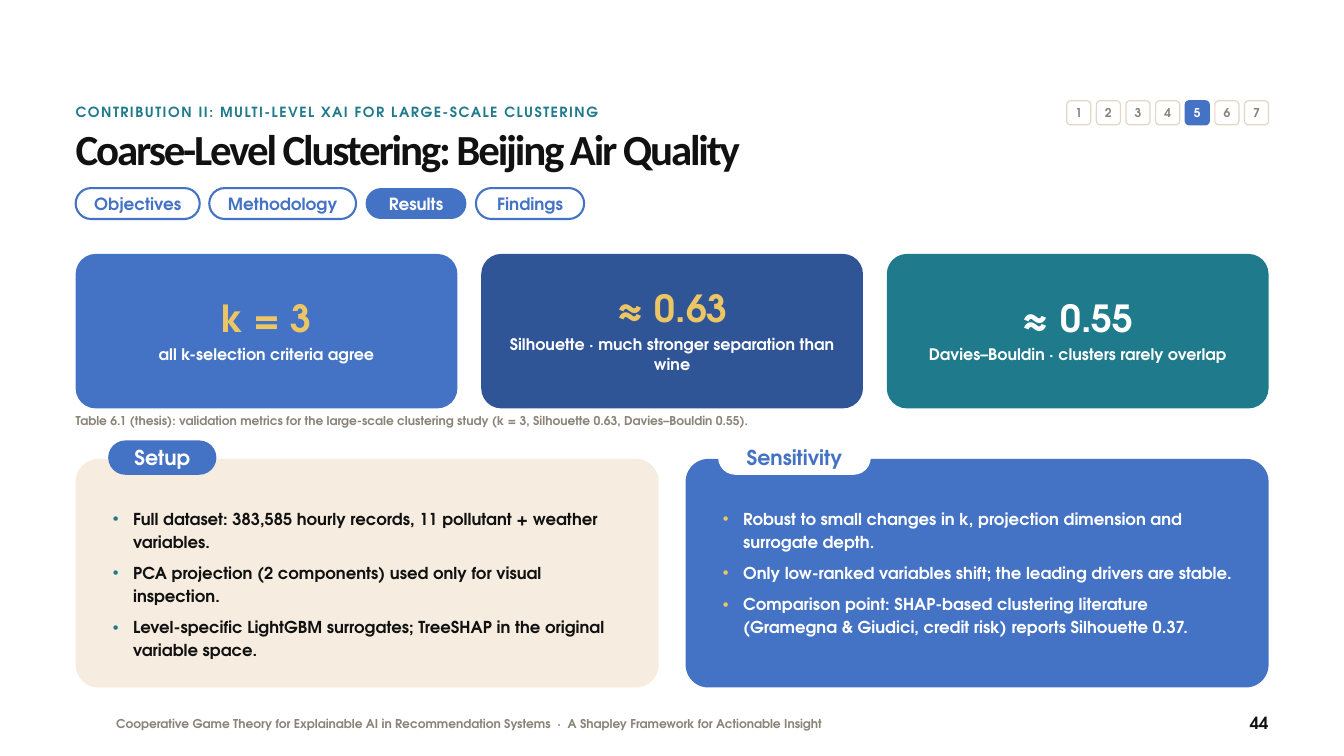
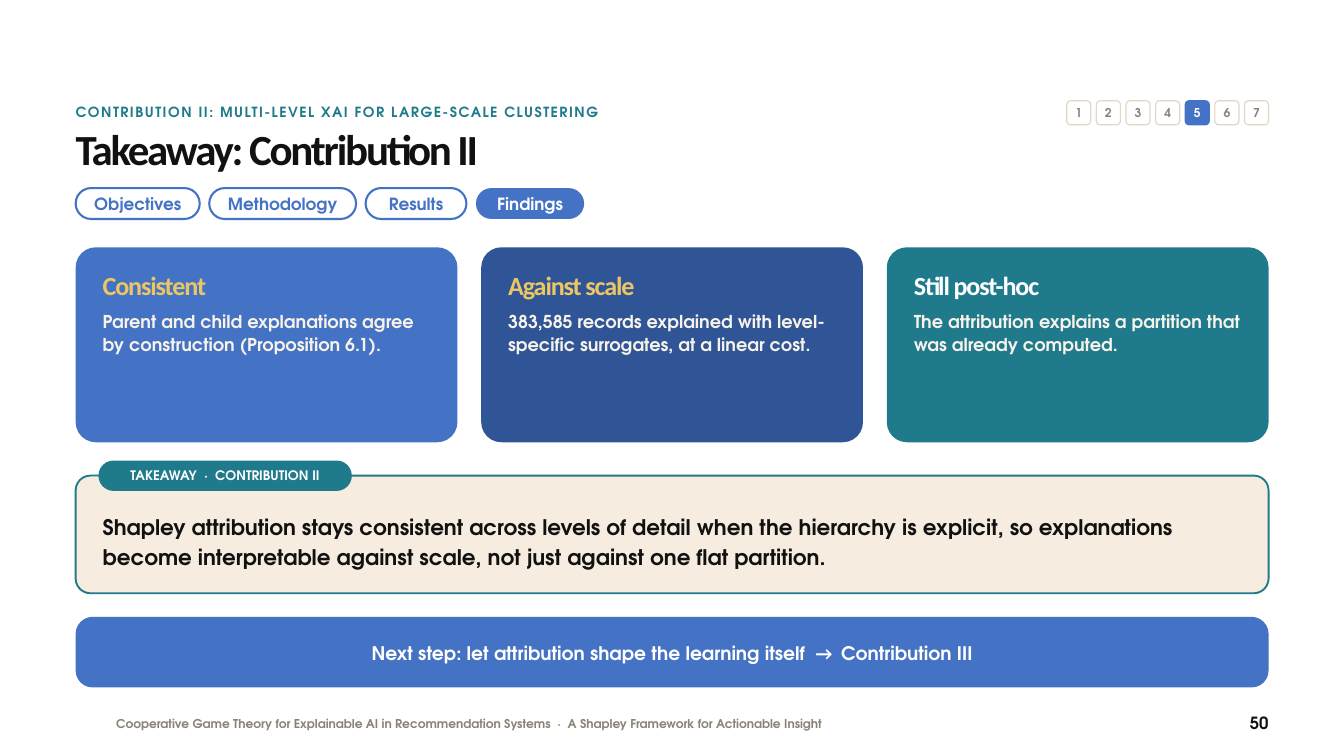
import lxml.etree
import pptx
import pptx.dml.color
import pptx.enum.shapes
import pptx.enum.text
import pptx.oxml.ns
import pptx.util

Cm = pptx.util.Cm
Pt = pptx.util.Pt
RGBColor = pptx.dml.color.RGBColor
ALIGN = pptx.enum.text.PP_ALIGN
ANCHOR = pptx.enum.text.MSO_ANCHOR
qn = pptx.oxml.ns.qn

# Colours and fonts
BLUE = RGBColor(0x44, 0x72, 0xC4)
NAVY = RGBColor(0x2F, 0x55, 0x97)
TEAL = RGBColor(0x1F, 0x7A, 0x8C)
GOLD = RGBColor(0xEC, 0xC6, 0x65)
CREAM = RGBColor(0xF6, 0xEC, 0xDF)
IVORY = RGBColor(0xF7, 0xF2, 0xEA)
SAND = RGBColor(0xE3, 0xD6, 0xC4)
GREY = RGBColor(0x8A, 0x83, 0x78)
INK = RGBColor(0x11, 0x11, 0x11)
WHITE = RGBColor(0xFF, 0xFF, 0xFF)
BODY_FONT = "TeX Gyre Adventor"
TITLE_FONT = "Calibri"

# Page grid, in centimetres
LEFT = 2.86
WIDTH = 45.09
RIGHT = LEFT + WIDTH
CARD_COLOURS = [(BLUE, GOLD), (NAVY, GOLD), (TEAL, WHITE)]

SECTION = "CONTRIBUTION II: MULTI-LEVEL XAI FOR LARGE-SCALE CLUSTERING"
FOOTER = ("Cooperative Game Theory for Explainable AI in Recommendation Systems"
          "  ·  A Shapley Framework for Actionable Insight")
SECTION_COUNT = 7
CURRENT_SECTION = 5
STEPS = [("Objectives", 4.69), ("Methodology", 5.55), ("Results", 3.81), ("Findings", 4.09)]


def columns(count, gap):
    """Return the left edges and the common width of equal columns."""
    width = (WIDTH - gap * (count - 1)) / count
    return [LEFT + i * (width + gap) for i in range(count)], width


def write(frame, text, *, size, colour, leading, font=BODY_FONT, align=ALIGN.LEFT,
          before=0, tracking=None, bullet=None):
    """Add one paragraph; text is a string or a list of (text, font) pairs."""
    paragraph = frame.paragraphs[0]
    if paragraph.runs:
        paragraph = frame.add_paragraph()
    paragraph.alignment = align
    paragraph.line_spacing = Pt(leading)
    paragraph.space_before = Pt(before)
    if bullet is not None:
        properties = paragraph._p.get_or_add_pPr()
        properties.set("marL", str(Cm(0.76)))
        properties.set("indent", str(-Cm(0.76)))
        bullet_colour = lxml.etree.SubElement(properties, qn("a:buClr"))
        lxml.etree.SubElement(bullet_colour, qn("a:srgbClr"), val=str(bullet))
        lxml.etree.SubElement(properties, qn("a:buChar"), char="•")
    for part, part_font in [(text, font)] if isinstance(text, str) else text:
        run = paragraph.add_run()
        run.text = part
        run.font.name = part_font
        run.font.size = Pt(size)
        run.font.bold = True
        run.font.color.rgb = colour
        if tracking is not None:
            run._r.get_or_add_rPr().set("spc", str(round(tracking * 100)))


class Deck:
    """Holds the presentation, its style and the current slide."""

    def __init__(self):
        self.presentation = pptx.Presentation()
        self.presentation.slide_width = Cm(50.8)
        self.presentation.slide_height = Cm(28.58)
        self.slide = None

    def new_slide(self, layout, title, number, current_step):
        layouts = self.presentation.slide_layouts
        self.slide = self.presentation.slides.add_slide(layouts.get_by_name(layout))
        # Footer
        write(self.text_box(4.39, 27.08, 35.56, 0.76), FOOTER, size=13, colour=GREY, leading=16)
        write(self.text_box(RIGHT - 3.05, 26.92, 3.05, 0.91), str(number), size=18,
              colour=INK, leading=22, align=ALIGN.RIGHT)
        # Heading
        write(self.text_box(LEFT, 3.86, 35.94, 0.91), SECTION, size=15, colour=TEAL,
              leading=20, tracking=1.6)
        write(self.placeholder(0, LEFT, 4.78, WIDTH, 2.03), title, size=46, colour=INK,
              leading=50.6, font=TITLE_FONT, tracking=-2.3)
        self.section_tags()
        self.step_pills(current_step)

    def prepare(self, frame, anchor=ANCHOR.TOP, inset=(0, 0)):
        frame.word_wrap = True
        frame.auto_size = pptx.enum.text.MSO_AUTO_SIZE.NONE
        frame.vertical_anchor = anchor
        frame.margin_left = frame.margin_right = Cm(inset[0])
        frame.margin_top = frame.margin_bottom = Cm(inset[1])
        return frame

    def text_box(self, left, top, width, height, anchor=ANCHOR.TOP):
        box = self.slide.shapes.add_textbox(Cm(left), Cm(top), Cm(width), Cm(height))
        return self.prepare(box.text_frame, anchor)

    def placeholder(self, index, left, top, width, height):
        """Place a template placeholder in front of what is drawn so far."""
        shape = self.slide.placeholders[index]
        shape.left, shape.top = Cm(left), Cm(top)
        shape.width, shape.height = Cm(width), Cm(height)
        shape.element.getparent().append(shape.element)
        return self.prepare(shape.text_frame)

    def rounded(self, left, top, width, height, radius, fill=None, line=None,
                line_width=2.25, inset=(0.13, 0)):
        shape = self.slide.shapes.add_shape(
            pptx.enum.shapes.MSO_SHAPE.ROUNDED_RECTANGLE,
            Cm(left), Cm(top), Cm(width), Cm(height))
        shape.shadow.inherit = False
        shape.adjustments[0] = radius / height
        if fill is None:
            shape.fill.background()
        else:
            shape.fill.solid()
            shape.fill.fore_color.rgb = fill
        if line is None:
            shape.line.fill.background()
        else:
            shape.line.color.rgb = line
            shape.line.width = Pt(line_width)
        return self.prepare(shape.text_frame, ANCHOR.MIDDLE, inset)

    def pill(self, text, left, top, width, height, size, colour, fill=None, line=None):
        frame = self.rounded(left, top, width, height, height / 2, fill, line)
        write(frame, text, size=size, colour=colour, leading=size * 1.2, align=ALIGN.CENTER)

    def section_tags(self):
        side, step = 0.91, 1.12
        first = RIGHT - side - step * (SECTION_COUNT - 1)
        for i in range(SECTION_COUNT):
            current = i + 1 == CURRENT_SECTION
            frame = self.rounded(first + i * step, 3.81, side, side, 0.15,
                                 BLUE if current else WHITE, BLUE if current else SAND,
                                 1.25, inset=(0, 0))
            write(frame, str(i + 1), size=13, colour=WHITE if current else GREY,
                  leading=15, align=ALIGN.CENTER)

    def step_pills(self, current_step):
        left = LEFT
        for name, width in STEPS:
            if name == current_step:
                self.pill(name, left, 7.11, width, 1.17, 18, WHITE, fill=BLUE)
            else:
                self.pill(name, left, 7.11, width, 1.17, 18, BLUE, line=BLUE)
            left += width + 0.36

    def metric_cards(self, metrics):
        lefts, width = columns(3, 0.9)
        for left, (fill, accent), (value, label) in zip(lefts, CARD_COLOURS, metrics):
            frame = self.rounded(left, 9.6, width, 5.84, 0.76, fill, inset=(0.38, 0.25))
            write(frame, value, size=40, colour=accent, leading=44, align=ALIGN.CENTER)
            write(frame, label, size=17, colour=WHITE, leading=21.2, before=4,
                  align=ALIGN.CENTER)

    def message_cards(self, messages):
        lefts, width = columns(3, 0.9)
        for left, (fill, accent), (heading, message) in zip(lefts, CARD_COLOURS, messages):
            self.rounded(left, 9.35, width, 7.37, 0.76, fill)
            frame = self.text_box(left + 1.02, 10.24, width - 2.04, 5.84)
            write(frame, heading, size=28, colour=accent, leading=32, font=TITLE_FONT,
                  tracking=-1.2)
            write(frame, message, size=19, colour=IVORY, leading=24, before=10)

    def list_panel(self, index, left, width, heading, heading_width, items, *,
                   fill, colour, bullet, tab_fill, tab_colour):
        self.rounded(left, 17.35, width, 8.64, 0.86, fill)
        self.pill(heading, left + 1.27, 16.69, heading_width, 1.22, 22, tab_colour,
                  tab_fill, tab_fill)
        frame = self.placeholder(index, left + 1.41, 19.13, 19.36, 6.1)
        for i, item in enumerate(items):
            write(frame, item, size=17.6, colour=colour, leading=24.6,
                  before=8.8 if i else 0, bullet=bullet)

    def takeaway(self, label, text):
        self.rounded(LEFT, 17.98, WIDTH, 4.45, 0.56, CREAM, TEAL, 2)
        self.pill(label, LEFT + 0.9, 17.45, 9.5, 1.07, 14, WHITE, TEAL, TEAL)
        frame = self.text_box(LEFT + 1.02, 18.75, WIDTH - 2.04, 3.3, ANCHOR.MIDDLE)
        write(frame, text, size=23, colour=INK, leading=32.2)

    def next_step(self, parts):
        frame = self.rounded(LEFT, 23.32, WIDTH, 2.67, 0.64, BLUE, inset=(1.27, 0.13))
        write(frame, parts, size=20, colour=WHITE, leading=25, align=ALIGN.CENTER)


def results_slide(deck):
    deck.new_slide("Two Content", "Coarse-Level Clustering: Beijing Air Quality", 44, "Results")
    deck.metric_cards([
        ("k = 3", "all k-selection criteria agree"),
        ("≈ 0.63", "Silhouette · much stronger separation than wine"),
        ("≈ 0.55", "Davies–Bouldin · clusters rarely overlap"),
    ])
    write(deck.text_box(LEFT, 15.57, WIDTH, 1.14),
          "Table 6.1 (thesis): validation metrics for the large-scale clustering study "
          "(k = 3, Silhouette 0.63, Davies–Bouldin 0.55).",
          size=13, colour=GREY, leading=17)
    # Setup and sensitivity panels
    (setup_left, sensitivity_left), width = columns(2, 1.02)
    deck.list_panel(1, setup_left, width, "Setup", 4.01, [
        "Full dataset: 383,585 hourly records, 11 pollutant + weather variables.",
        "PCA projection (2 components) used only for visual inspection.",
        "Level-specific LightGBM surrogates; TreeSHAP in the original variable space.",
    ], fill=CREAM, colour=INK, bullet=TEAL, tab_fill=BLUE, tab_colour=WHITE)
    deck.list_panel(2, sensitivity_left, width, "Sensitivity", 5.69, [
        "Robust to small changes in k, projection dimension and surrogate depth.",
        "Only low-ranked variables shift; the leading drivers are stable.",
        "Comparison point: SHAP-based clustering literature (Gramegna & Giudici, "
        "credit risk) reports Silhouette 0.37.",
    ], fill=BLUE, colour=WHITE, bullet=GOLD, tab_fill=WHITE, tab_colour=BLUE)


def findings_slide(deck):
    deck.new_slide("Title Only", "Takeaway: Contribution II", 50, "Findings")
    deck.message_cards([
        ("Consistent",
         "Parent and child explanations agree by construction (Proposition 6.1)."),
        ("Against scale",
         "383,585 records explained with level-specific surrogates, at a linear cost."),
        ("Still post-hoc",
         "The attribution explains a partition that was already computed."),
    ])
    deck.takeaway(
        "TAKEAWAY  ·  CONTRIBUTION II",
        "Shapley attribution stays consistent across levels of detail when the hierarchy "
        "is explicit, so explanations become interpretable against scale, not just "
        "against one flat partition.")
    deck.next_step([
        ("Next step: let attribution shape the learning itself  ", BODY_FONT),
        ("→  ", TITLE_FONT),
        ("Contribution III", BODY_FONT),
    ])


def main():
    deck = Deck()
    results_slide(deck)
    findings_slide(deck)
    deck.presentation.save("out.pptx")


if __name__ == "__main__":
    main()
